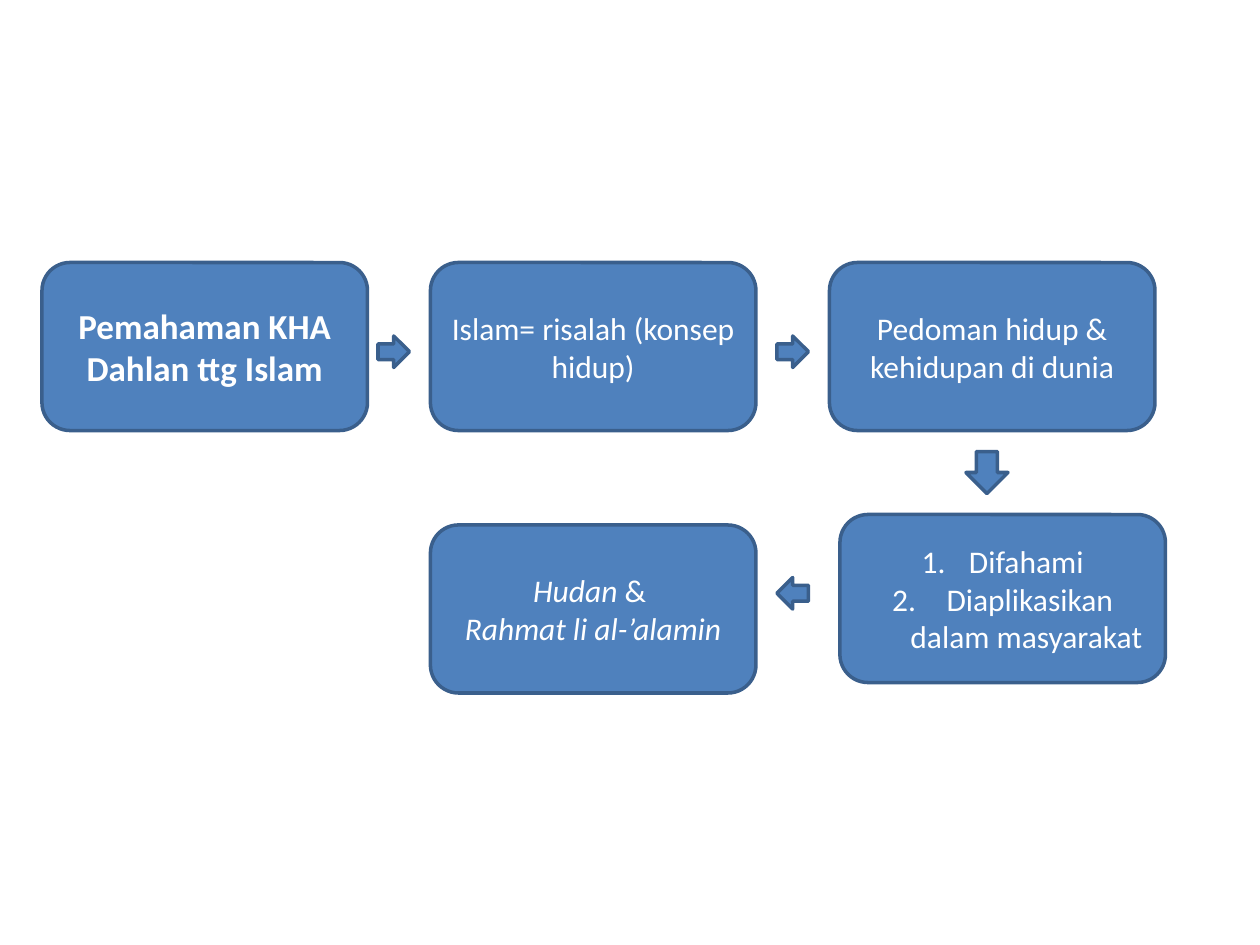
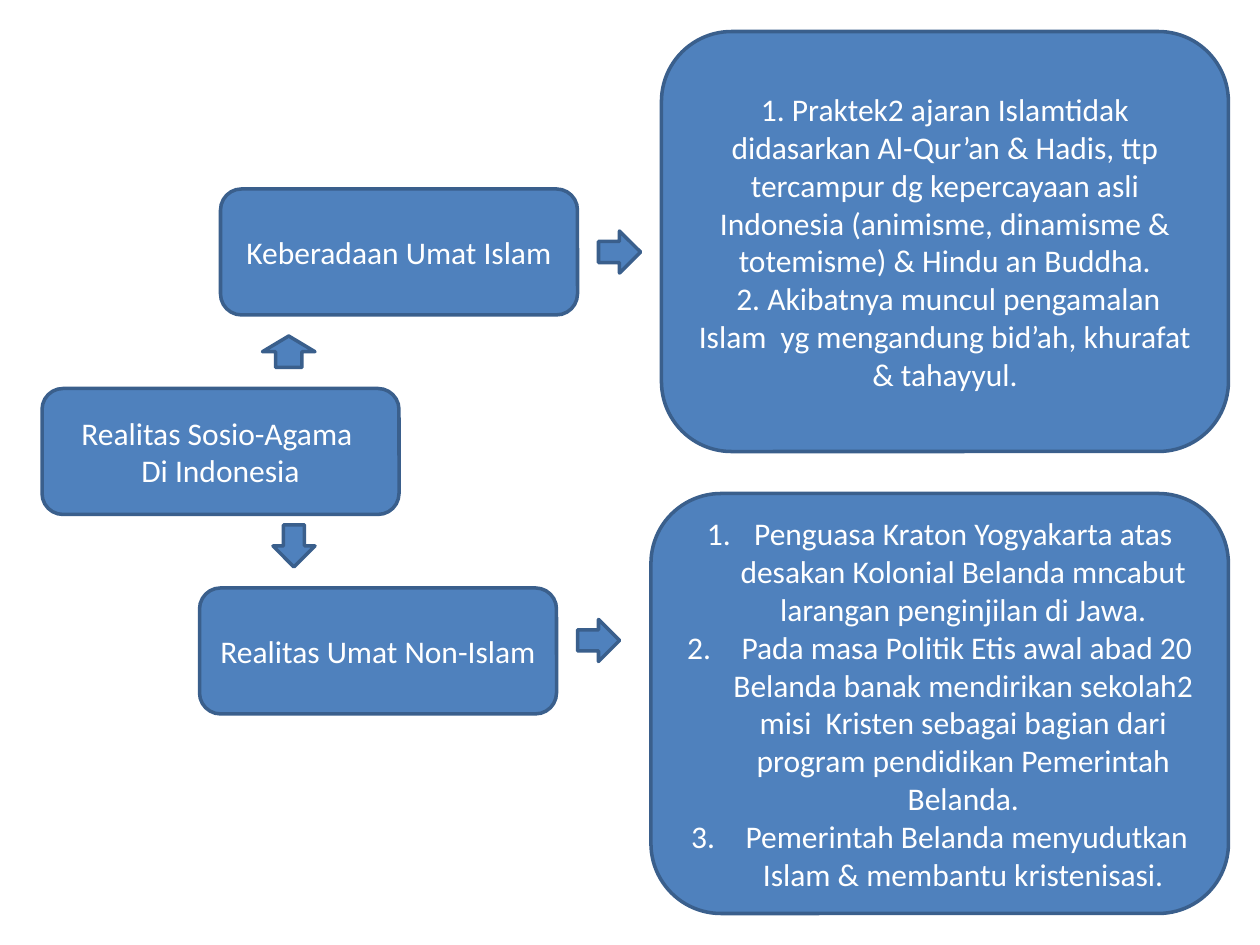
import pptx
import pptx.util
import pptx.dml.color
import pptx.enum.shapes
import pptx.enum.text
import pptx.oxml.ns
from lxml import etree

PX = 9525  # EMU per px, 96 px to the inch
COLORS = {"fill": "4F81BD", "line": "3A5F8C", "text": "FFFFFF"}
FONT = {"name": "Calibri", "size": pptx.util.Pt(18)}
LIST_INDENT = 36
SHAPE = pptx.enum.shapes.MSO_SHAPE
BLANK_LAYOUT = 6


def rgb(key):
    return pptx.dml.color.RGBColor.from_string(COLORS[key])


def add_block(slide, kind, x, y, w, h):
    """Add a preset shape in the shared fill and outline."""
    sp = slide.shapes.add_shape(kind, x * PX, y * PX, w * PX, h * PX)
    sp.shadow.inherit = False
    sp.fill.solid()
    sp.fill.fore_color.rgb = rgb("fill")
    sp.line.color.rgb = rgb("line")
    sp.line.width = pptx.util.Pt(2)
    return sp


def number_paragraph(p):
    pPr = p._p.get_or_add_pPr()
    pPr.set("marL", str(LIST_INDENT * PX))
    pPr.set("indent", str(-LIST_INDENT * PX))
    etree.SubElement(pPr, pptx.oxml.ns.qn("a:buAutoNum"), type="arabicPeriod")


def add_run(p, text, style):
    r = p.add_run()
    r.text = text
    for name, value in {**FONT, **style}.items():
        setattr(r.font, name, value)
    r.font.color.rgb = rgb("text")


def add_box(slide, box, paragraphs, kind=SHAPE.ROUNDED_RECTANGLE, numbered=False, **style):
    """Add a text box shape; a paragraph is a string or a list of (text, style) runs."""
    tf = add_block(slide, kind, *box).text_frame
    tf.word_wrap = True
    tf.vertical_anchor = pptx.enum.text.MSO_ANCHOR.MIDDLE
    for i, runs in enumerate(paragraphs):
        p = tf.paragraphs[0] if i == 0 else tf.add_paragraph()
        p.alignment = pptx.enum.text.PP_ALIGN.CENTER
        if numbered:
            number_paragraph(p)
        if isinstance(runs, str):
            runs = [(runs, style)]
        for text, run_style in runs:
            add_run(p, text, run_style)


def build_understanding(slide):
    size = (248, 128)
    top = 200
    add_box(slide, (32, top, *size), ["Pemahaman KHA Dahlan ttg Islam"],
            size=pptx.util.Pt(20), bold=True)
    add_box(slide, (328, top, *size), ["Islam= risalah (konsep hidup)"])
    add_box(slide, (632, top, *size), ["Pedoman hidup & kehidupan di dunia"])
    italic = {"italic": True}
    add_box(slide, (328, 400, *size),
            [[("Hudan", italic), (" & ", {})], [("Rahmat li al-’alamin", italic)]])
    add_box(slide, (640, 392, *size),
            ["Difahami", " Diaplikasikan dalam masyarakat"], numbered=True)

    for kind, x, y, side in [
        (SHAPE.RIGHT_ARROW, 288, 256, 24),
        (SHAPE.RIGHT_ARROW, 592, 256, 24),
        (SHAPE.DOWN_ARROW, 736, 344, 32),
        (SHAPE.LEFT_ARROW, 592, 440, 24),
    ]:
        add_block(slide, kind, x, y, side, side)


def build_social_reality(slide):
    size = (272, 96)
    add_box(slide, (32, 296, *size), ["Realitas Sosio-Agama ", "Di Indonesia"])
    add_box(slide, (168, 144, *size), ["Keberadaan Umat Islam"])
    add_box(slide, (152, 448, *size), ["Realitas Umat Non-Islam"])
    add_box(slide, (504, 24, 432, 320), [
        "1. Praktek2 ajaran Islamtidak didasarkan Al-Qur’an & Hadis, ttp "
        "tercampur dg kepercayaan asli Indonesia (animisme, dinamisme & "
        "totemisme) & Hindu an Buddha.",
        " 2. Akibatnya muncul pengamalan Islam  yg mengandung bid’ah, "
        "khurafat & tahayyul.",
    ])
    add_box(slide, (496, 376, 440, 320), [
        "Penguasa Kraton Yogyakarta atas desakan Kolonial Belanda mncabut "
        "larangan penginjilan di Jawa.",
        " Pada masa Politik Etis awal abad 20 Belanda banak mendirikan "
        "sekolah2 misi  Kristen sebagai bagian dari program pendidikan "
        "Pemerintah Belanda.",
        " Pemerintah Belanda menyudutkan Islam & membantu kristenisasi.",
    ], kind=SHAPE.FLOWCHART_ALTERNATE_PROCESS, numbered=True)

    for kind, x, y, w, h in [
        (SHAPE.RIGHT_ARROW, 456, 176, 32, 32),
        (SHAPE.RIGHT_ARROW, 440, 472, 32, 32),
        (SHAPE.UP_ARROW, 200, 256, 40, 24),
        (SHAPE.DOWN_ARROW, 208, 400, 32, 32),
    ]:
        add_block(slide, kind, x, y, w, h)


def main():
    prs = pptx.Presentation()
    prs.slide_width = 960 * PX
    prs.slide_height = 720 * PX
    for build in (build_understanding, build_social_reality):
        build(prs.slides.add_slide(prs.slide_layouts[BLANK_LAYOUT]))
    prs.save("out.pptx")


if __name__ == "__main__":
    main()
